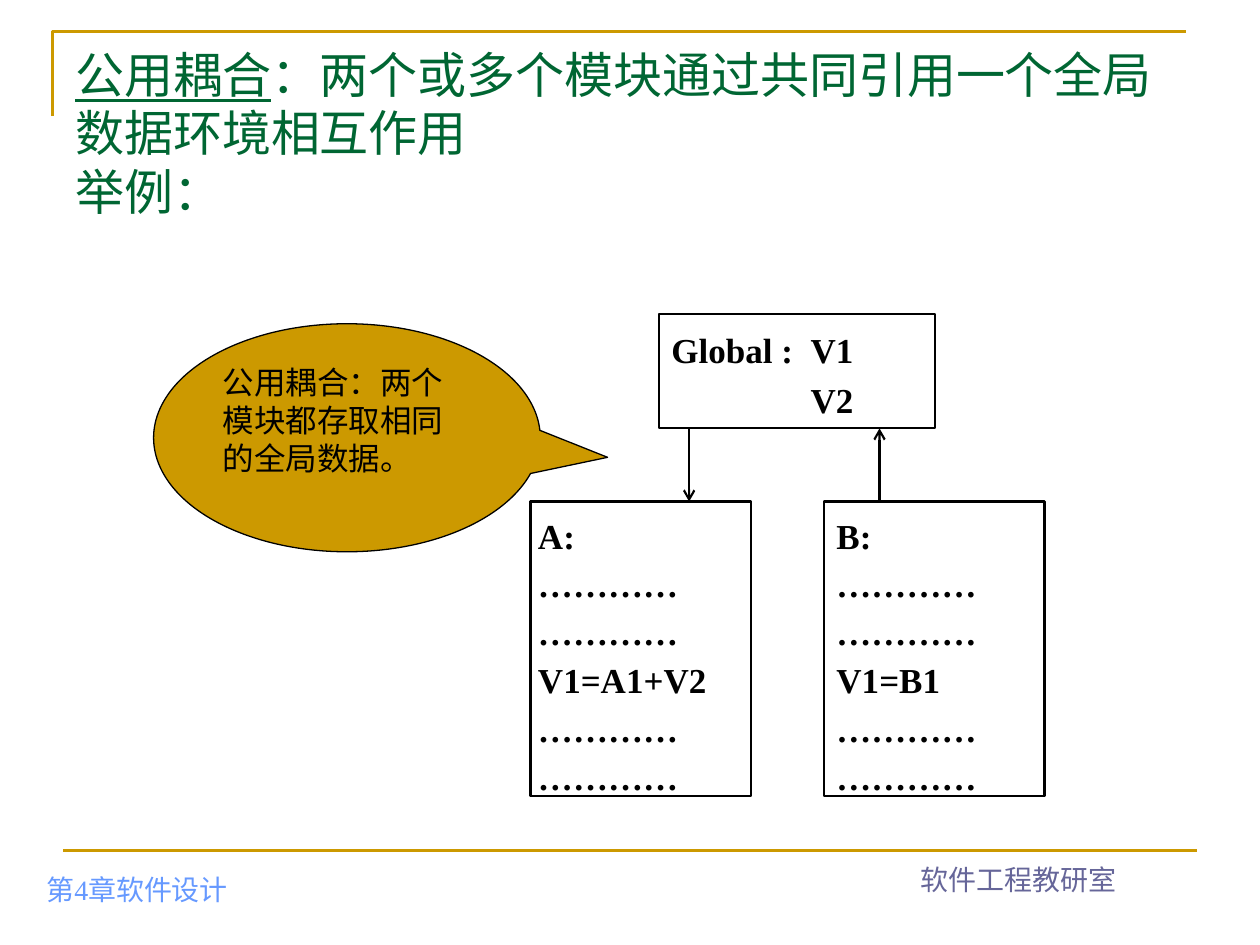
from dataclasses import dataclass

from lxml import etree
from pptx import Presentation
from pptx.dml.color import RGBColor
from pptx.enum import shapes, text
from pptx.oxml import ns
from pptx.util import Pt


@dataclass(frozen=True)
class Theme:
    gold: str = "CC9900"
    green: str = "006633"
    chapter_blue: str = "6699FF"
    office_violet: str = "666699"
    black: str = "000000"
    white: str = "FFFFFF"
    serif: str = "Times New Roman"
    sans: str = "Arial"
    cjk: str = "Noto Sans CJK SC"
    title_size: int = 28
    code_size: int = 20
    callout_size: int = 18
    footer_size: int = 16
    rule_width: float = 1.5
    box_width: float = 1.25
    callout_width: float = 0.75


theme = Theme()
RULE_FORMAT = (theme.gold, theme.rule_width)
BOX_FORMAT = (theme.black, theme.box_width)


def write(shape, paragraphs, color, size, font, bold=False, anchor=text.MSO_ANCHOR.TOP,
          align=text.PP_ALIGN.LEFT, spacing=None, left=7.2, right=7.2, tab=None):
    """Fill a shape with paragraphs, each a list of runs; tab is an optional stop."""
    frame = shape.text_frame
    frame_format = {"word_wrap": True, "vertical_anchor": anchor,
                    "margin_left": Pt(left), "margin_right": Pt(right),
                    "margin_top": Pt(3.6), "margin_bottom": Pt(3.6)}
    for name, value in frame_format.items():
        setattr(frame, name, value)
    for index, pieces in enumerate(paragraphs):
        paragraph = frame.add_paragraph() if index else frame.paragraphs[0]
        paragraph.alignment = align
        if spacing:
            paragraph.line_spacing = spacing
        if tab:
            stops = etree.SubElement(paragraph._p.get_or_add_pPr(), ns.qn("a:tabLst"))
            etree.SubElement(stops, ns.qn("a:tab"), pos=str(Pt(tab)), algn="l")
        for piece in pieces:
            if piece == "\n":
                paragraph.add_line_break()
                continue
            run = paragraph.add_run()
            run.text = piece
            for name, value in {"size": Pt(size), "name": font, "bold": bold}.items():
                setattr(run.font, name, value)
            run.font.color.rgb = RGBColor.from_string(color)


def outline(shape, color, width, fill=None):
    shape.shadow.inherit = False
    shape.line.color.rgb = RGBColor.from_string(color)
    shape.line.width = Pt(width)
    if fill:
        shape.fill.solid()
        shape.fill.fore_color.rgb = RGBColor.from_string(fill)
    else:
        shape.fill.background()


deck = Presentation()
deck.slide_width, deck.slide_height = Pt(720), Pt(540)
slide = deck.slides.add_slide(deck.slide_layouts[6])
canvas = slide.shapes

# Corner rule around the title
corner = canvas.build_freeform(Pt(30), Pt(66.4), scale=1.0)
corner.add_line_segments([(Pt(30), Pt(18)), (Pt(678), Pt(18))], close=False)
outline(corner.convert_to_shape(), *RULE_FORMAT)

# Footer
footers = [
    ("第4章软件设计", 19.4, 485.3, 226.8, theme.chapter_blue, text.PP_ALIGN.LEFT),
    ("软件工程教研室", 468, 479.5, 228.2, theme.office_violet, text.PP_ALIGN.CENTER),
]
for label, x, y, width, color, align in footers:
    footer = canvas.add_textbox(Pt(x), Pt(y), Pt(width), Pt(36))
    write(footer, [[label]], color, theme.footer_size, theme.serif,
          anchor=text.MSO_ANCHOR.BOTTOM, align=align)

# Title: the term is underlined, the definition and the lead-in follow
title = canvas.add_textbox(Pt(36), Pt(21.6), Pt(648), Pt(90))
title_runs = ["公用耦合", "：两个或多个模块通过共同引用一个全局数据环境相互作用", "\n", "举例："]
write(title, [title_runs], theme.green, theme.title_size, theme.cjk)
title.text_frame.paragraphs[0].runs[0].font.underline = True

# Global data and the two modules that share it
dots = "…………"
module_top, module_size = 286.6, (126, 168.5)
boxes = [
    (["Global :\tV1", "\tV2"], 376.6, 179.3, (157.7, 65.5), {"spacing": 1.2, "tab": 79.5}),
    (["A:", dots, dots, "V1=A1+V2", dots, dots], 303.1, module_top, module_size,
     {"spacing": 1.15, "left": 4.3, "right": 1.4}),
    (["B:", dots, dots, "V1=B1", dots, dots], 470.9, module_top, module_size,
     {"spacing": 1.15}),
]
for lines, x, y, (width, height), layout in boxes:
    box = canvas.add_shape(shapes.MSO_SHAPE.RECTANGLE, Pt(x), Pt(y), Pt(width), Pt(height))
    outline(box, *BOX_FORMAT, theme.white)
    write(box, [[line] for line in lines], theme.black, theme.code_size, theme.serif,
          bold=True, align=text.PP_ALIGN.JUSTIFY, **layout)

# Footer rule, then data flow from the global data to A and from B back to it
global_bottom = 244.8
connections = [
    (36, 486, 684, 486, RULE_FORMAT, False),
    (393.8, global_bottom, 393.8, module_top, BOX_FORMAT, True),
    (502.6, module_top, 502.6, global_bottom, BOX_FORMAT, True),
]
for x1, y1, x2, y2, (color, width), has_arrow in connections:
    connection = canvas.add_connector(shapes.MSO_CONNECTOR.STRAIGHT,
                                      Pt(x1), Pt(y1), Pt(x2), Pt(y2))
    connection.line.color.rgb = RGBColor.from_string(color)
    connection.line.width = Pt(width)
    if has_arrow:
        etree.SubElement(connection.line._get_or_add_ln(), ns.qn("a:tailEnd"), type="arrow")
    etree.SubElement(connection._element.spPr, ns.qn("a:effectLst"))

# Callout
callout = canvas.add_shape(shapes.MSO_SHAPE.OVAL_CALLOUT,
                           Pt(87.8), Pt(185), Pt(221), Pt(130.3))
callout.adjustments[0], callout.adjustments[1] = 0.674, 0.086
outline(callout, theme.black, theme.callout_width, theme.gold)
write(callout, [["公用耦合：两个模块都存取相同的全局数据。"]],
      theme.black, theme.callout_size, theme.sans)

deck.save("out.pptx")
